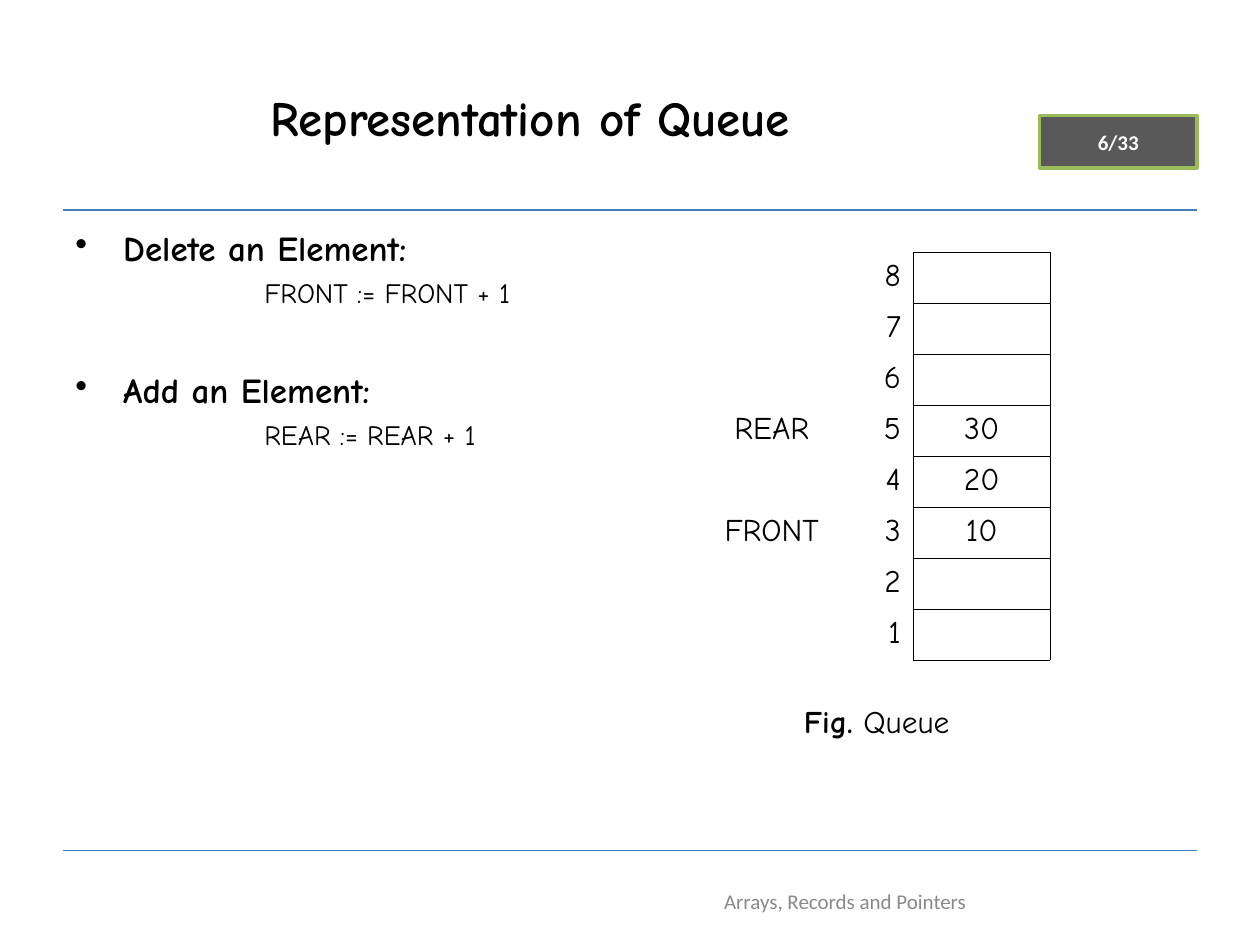
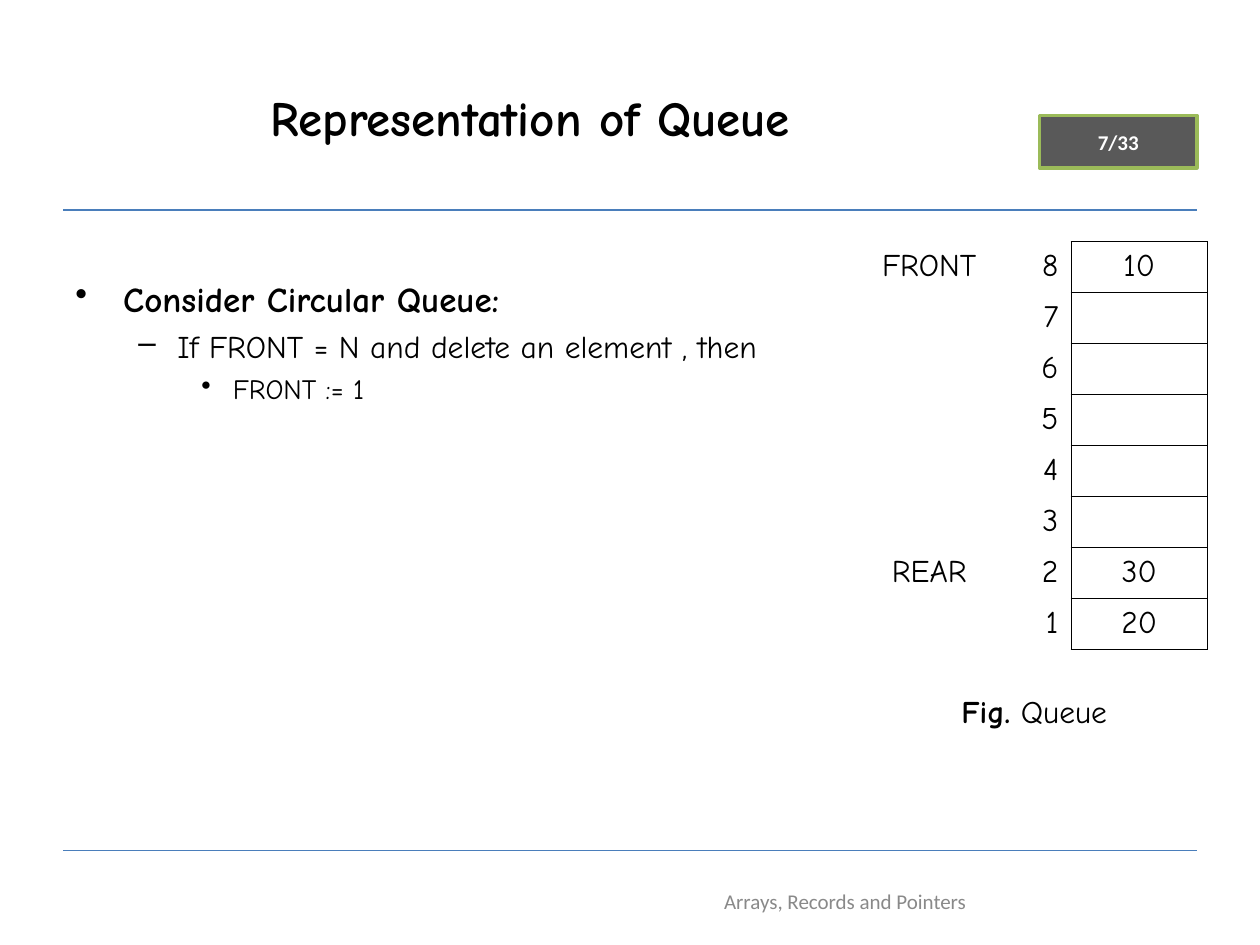
from dataclasses import dataclass

from lxml import etree
from pptx import Presentation
from pptx.dml.color import RGBColor
from pptx.enum.shapes import MSO_CONNECTOR, MSO_SHAPE
from pptx.enum.text import MSO_ANCHOR as Anchor, PP_ALIGN as Align
from pptx.oxml.ns import qn
from pptx.util import Inches, Pt

BLACK = RGBColor(0x00, 0x00, 0x00)
WHITE = RGBColor(0xFF, 0xFF, 0xFF)
RULE_BLUE = RGBColor(0x4A, 0x7E, 0xBB)
BADGE_GRAY = RGBColor(0x59, 0x59, 0x59)
BADGE_GREEN = RGBColor(0x9B, 0xBB, 0x59)
FOOTER_GRAY = RGBColor(0x89, 0x89, 0x89)

HAND_FONT, PLAIN_FONT = "Comic Neue", "Calibri"
NO_GRID_STYLE = "{2D5ABB26-0587-4C30-8999-92F81FD0307C}"

# The page is a grid of 120 columns by 90 rows.
COLUMNS, ROWS = 120, 90
MARGIN = 6
PAGE_TOTAL = 33
QUEUE_SIZE = 8
QUEUE_COLUMNS = (13, 7, 13)
SLOT_ROWS, CAPTION_ROWS = 4.86, 8.4


@dataclass
class Level:
    size: int
    bold: bool
    indent: float
    hanging: float
    bullet: str
    space_before: float


HEADING = Level(20, True, 0.38, 0.38, "•", 5)
SPACED_HEADING = Level(20, True, 0.38, 0.38, "•", 34)
CONDITION = Level(18, False, 0.81, 0.31, "–", 4.5)
RESULT = Level(16, False, 1.25, 0.25, "•", 4)
STATEMENT = Level(16, False, 1.5, 0, "", 4)


def grid(units):
    return Inches(units / 12)


def place(left, top, width, height):
    return [grid(units) for units in (left, top, width, height)]


def style(paragraph, font_name, size, color, bold=False, align=Align.CENTER):
    paragraph.alignment = align
    font = paragraph.font
    font.name, font.size, font.bold = font_name, Pt(size), bold
    font.color.rgb = color


def add_label(slide, area, text, *font):
    frame = slide.shapes.add_textbox(*place(*area)).text_frame
    frame.word_wrap = True
    frame.vertical_anchor = Anchor.MIDDLE
    frame.text = text
    style(frame.paragraphs[0], *font)


def add_rule(slide, row):
    rule = slide.shapes.add_connector(
        MSO_CONNECTOR.STRAIGHT,
        grid(MARGIN), grid(row), grid(COLUMNS - MARGIN), grid(row))
    rule.line.color.rgb = RULE_BLUE
    rule.line.width = Pt(0.75)
    etree.SubElement(rule._element.spPr, qn("a:effectLst"))


def add_page_badge(slide, page):
    badge = slide.shapes.add_shape(MSO_SHAPE.RECTANGLE, *place(99, 11, 15, 5))
    badge.shadow.inherit = False
    badge.fill.solid()
    badge.fill.fore_color.rgb = BADGE_GRAY
    badge.line.color.rgb = BADGE_GREEN
    badge.line.width = Pt(2)
    badge.text_frame.vertical_anchor = Anchor.MIDDLE
    badge.text_frame.text = f"{page}/{PAGE_TOTAL}"
    style(badge.text_frame.paragraphs[0], PLAIN_FONT, 12, WHITE, True)


def add_page(deck, page):
    """Add a slide with the rules, badge, title and footer all pages share."""
    slide = deck.slides.add_slide(deck.slide_layouts[6])
    for row in (20, 81):
        add_rule(slide, row)
    add_page_badge(slide, page)
    add_label(slide, (MARGIN, 3.6, 89, 15), "Representation of Queue",
              HAND_FONT, 28, BLACK, True)
    add_label(slide, (63, 83.4, 35, 4.8), "Arrays, Records and Pointers",
              PLAIN_FONT, 12, FOOTER_GRAY)
    return slide


def set_bullet(paragraph, level):
    properties = paragraph._p.get_or_add_pPr()
    properties.set("marL", str(Inches(level.indent)))
    properties.set("indent", str(-Inches(level.hanging)))
    if level.bullet:
        etree.SubElement(properties, qn("a:buChar"), char=level.bullet)
    else:
        etree.SubElement(properties, qn("a:buNone"))


def add_outline(slide, top, entries):
    area = place(MARGIN, top, COLUMNS - 2 * MARGIN, 80.4 - top)
    frame = slide.shapes.add_textbox(*area).text_frame
    frame.word_wrap = True
    for number, (level, text) in enumerate(entries):
        paragraph = frame.add_paragraph() if number else frame.paragraphs[0]
        paragraph.text = text
        set_bullet(paragraph, level)
        if number:
            paragraph.space_before = Pt(level.space_before)
        style(paragraph, HAND_FONT, level.size, BLACK, level.bold, Align.JUSTIFY)


def set_borders(cell, sides):
    """Draw thin black borders on the given sides, out of L, R, T and B."""
    properties = cell._tc.get_or_add_tcPr()
    for side in sides:
        border = etree.SubElement(properties, qn(f"a:ln{side}"), w=str(Pt(0.45)))
        fill = etree.SubElement(border, qn("a:solidFill"))
        etree.SubElement(fill, qn("a:srgbClr"), val=str(BLACK))


def fill_cell(cell, text, align=Align.CENTER, sides=""):
    set_borders(cell, sides)
    cell.fill.background()
    cell.text = text
    style(cell.text_frame.paragraphs[0], HAND_FONT, 18, BLACK, align=align)


def fill_caption(cell):
    cell.fill.background()
    cell.vertical_anchor = Anchor.BOTTOM
    paragraph = cell.text_frame.paragraphs[0]
    for text, bold in (("Fig.", True), (" Queue", False)):
        run = paragraph.add_run()
        run.text = text
        run.font.bold = bold
    style(paragraph, HAND_FONT, 18, BLACK)


def add_queue(slide, left, top, values, pointers):
    """Draw the queue; values and pointers are keyed by slot number."""
    height = QUEUE_SIZE * SLOT_ROWS + CAPTION_ROWS
    queue = slide.shapes.add_table(
        QUEUE_SIZE + 1, len(QUEUE_COLUMNS),
        *place(left, top, sum(QUEUE_COLUMNS), height)).table
    queue.first_row = queue.horz_banding = False
    queue._tbl.tblPr.find(qn("a:tableStyleId")).text = NO_GRID_STYLE
    for column, width in zip(queue.columns, QUEUE_COLUMNS):
        column.width = grid(width)
    for row in queue.rows:
        row.height = grid(SLOT_ROWS)
    queue.rows[QUEUE_SIZE].height = grid(CAPTION_ROWS)

    for row, slot in enumerate(range(QUEUE_SIZE, 0, -1)):
        fill_cell(queue.cell(row, 0), pointers.get(slot, ""))
        fill_cell(queue.cell(row, 1), str(slot), Align.RIGHT, "R")
        fill_cell(queue.cell(row, 2), str(values.get(slot, "")),
                  sides="LRTB" if slot > 1 else "LRT")
    caption = queue.cell(QUEUE_SIZE, 0)
    caption.merge(queue.cell(QUEUE_SIZE, 2))
    fill_caption(caption)


def main():
    deck = Presentation()
    deck.slide_width, deck.slide_height = grid(COLUMNS), grid(ROWS)

    linear = add_page(deck, 6)
    add_outline(linear, 21, [
        (HEADING, "Delete an Element:"),
        (STATEMENT, "FRONT := FRONT + 1"),
        (SPACED_HEADING, "Add an Element:"),
        (STATEMENT, "REAR := REAR + 1"),
    ])
    add_queue(linear, 67, 24, {5: 30, 4: 20, 3: 10}, {5: "REAR", 3: "FRONT"})

    circular = add_page(deck, 7)
    add_outline(circular, 25.8, [
        (HEADING, "Consider Circular Queue:"),
        (CONDITION, "If FRONT = N and delete an element , then"),
        (RESULT, "FRONT := 1"),
    ])
    add_queue(circular, 82, 23, {8: 10, 2: 30, 1: 20}, {8: "FRONT", 2: "REAR"})

    deck.save("out.pptx")


if __name__ == "__main__":
    main()
